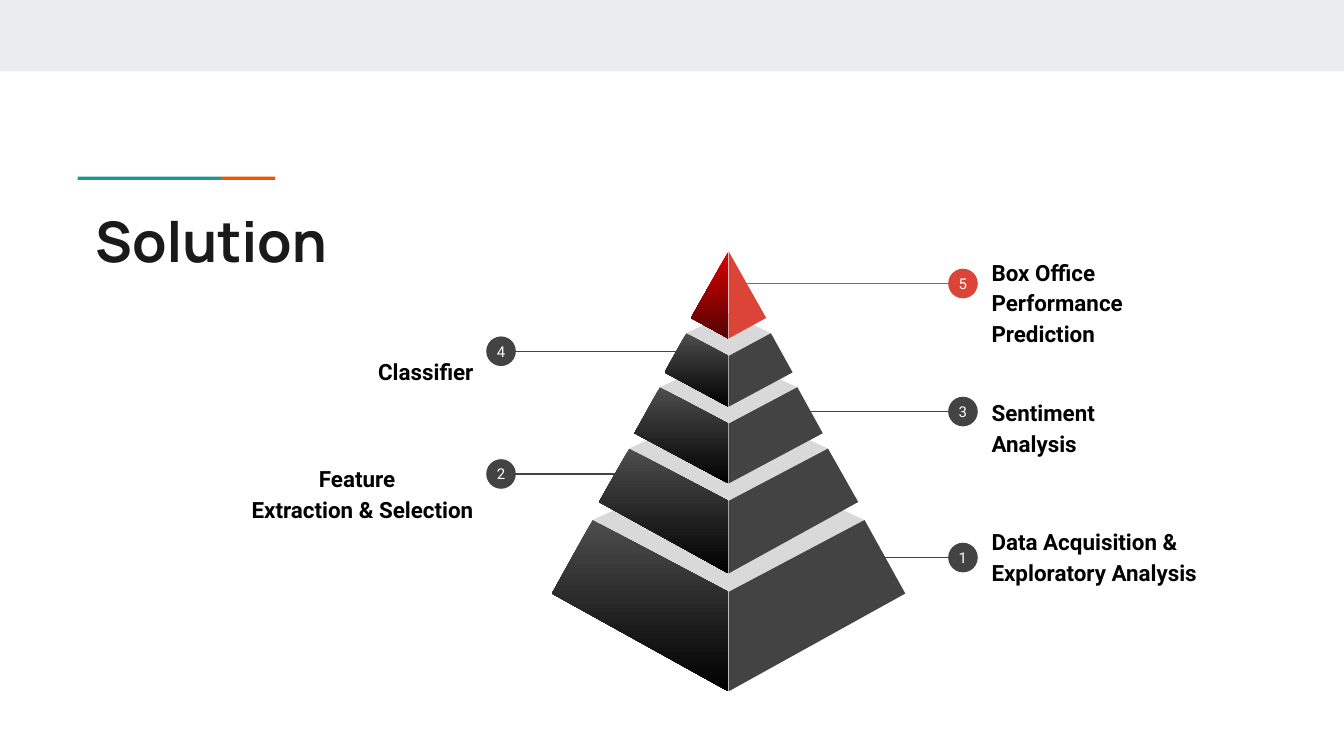
from pptx import Presentation
from pptx import util as u
from pptx.dml.color import RGBColor
from pptx.enum import shapes, text
from pptx.oxml.ns import qn
from lxml import etree

COLORS = {
    "band": "E9EDEE", "teal": "1A9988", "orange": "EB5600", "title": "1A1A1A",
    "lid": "D9D9D9", "dark": "434343", "dark_top": "4D4D4D", "black": "000000",
    "red": "DB4437", "red_top": "DB0000", "red_bottom": "540303", "white": "FFFFFF",
}


def paint(shape, *names):
    shape.shadow.inherit = False
    shape.line.fill.background()
    if len(names) == 1:
        shape.fill.solid()
        shape.fill.fore_color.rgb = RGBColor.from_string(COLORS[names[0]])
        return
    shape.fill.gradient()
    shape.fill.gradient_angle = 270
    for stop, name in zip(shape.fill.gradient_stops, names):
        stop.color.rgb = RGBColor.from_string(COLORS[name])


def style(paragraph, font, size, color, bold, align):
    paragraph.alignment = align
    for run in paragraph.runs:
        run.font.name = font
        run.font.size = u.Pt(size)
        run.font.bold = bold
        run.font.color.rgb = RGBColor.from_string(COLORS[color])


presentation = Presentation()
presentation.slide_width = u.Cm(25.4)
presentation.slide_height = u.Cm(14.29)
slide = presentation.slides.add_slide(presentation.slide_layouts[5])
LEFT, CENTER, RIGHT = text.PP_ALIGN.LEFT, text.PP_ALIGN.CENTER, text.PP_ALIGN.RIGHT

for left, top, width, height, color in [
    (0, 0, 25.4, 1.35, "band"),
    (1.47, 3.34, 2.71, 0.06, "teal"),
    (4.18, 3.34, 1.02, 0.06, "orange"),
]:
    bar = slide.shapes.add_shape(
        shapes.MSO_SHAPE.RECTANGLE, u.Cm(left), u.Cm(top), u.Cm(width), u.Cm(height))
    paint(bar, color)

title = slide.shapes.title
title.left, title.top, title.width, title.height = u.Cm(1.55), u.Cm(3.66), u.Cm(21.36), u.Cm(1.5)
frame = title.text_frame
frame.text = "Solution"
frame.auto_size = text.MSO_AUTO_SIZE.NONE
frame.vertical_anchor = text.MSO_ANCHOR.TOP
frame.margin_left = frame.margin_right = frame.margin_top = frame.margin_bottom = u.Cm(0.25)
style(frame.paragraphs[0], "Manrope", 30, "title", True, LEFT)

# half widths at top and bottom, then heights: lid back, shoulder, front edge, base corner, base front
AXIS = 13.77
TIERS = [
    (2.57, 3.34, 8.65, 9.83, 11.19, 11.22, 13.07),
    (1.88, 2.45, 7.62, 8.48, 9.47, 9.49, 10.84),
    (1.30, 1.78, 6.73, 7.32, 8.01, 8.19, 9.14),
    (0.80, 1.21, 5.92, 6.30, 6.73, 7.04, 7.69),
    (0, 0.71, 4.75, 4.75, 4.75, 6.01, 6.40),
]
for upper, lower, back, shoulder, front, corner, base in TIERS:
    is_tip = upper == 0
    left_fill = ("red_top", "red_bottom") if is_tip else ("dark_top", "black")
    faces = [
        ([(-upper, shoulder), (0, front), (0, base), (-lower, corner)], left_fill),
        ([(upper, shoulder), (0, front), (0, base), (lower, corner)],
         ("red",) if is_tip else ("dark",)),
    ]
    if not is_tip:
        faces.insert(0, ([(-upper, shoulder), (0, front), (upper, shoulder), (0, back)], ("lid",)))
    for corners, fill in faces:
        points = [(u.Cm(AXIS + x), u.Cm(y)) for x, y in corners]
        builder = slide.shapes.build_freeform(*points[0])
        builder.add_line_segments(points[1:], close=True)
        paint(builder.convert_to_shape(), *fill)

BADGE = 0.56
STEPS = [
    ("5", "Box Office Performance Prediction", RIGHT, 14.07, 5.36, 4.65, 3.33, 2.08),
    ("4", "Classifier", LEFT, 12.83, 6.64, 5.95, 5.92, 2.08),
    ("3", "Sentiment Analysis", RIGHT, 15.29, 7.78, 7.09, 2.97, 1.93),
    ("2", "Feature\nExtraction & Selection", LEFT, 11.66, 8.96, 8.27, 5.92, 2.08),
    ("1", "Data Acquisition & Exploratory Analysis", RIGHT, 16.69, 10.54, 9.53, 4.88, 1.93),
]
for number, label, side, start, middle, top, width, height in STEPS:
    color = "red" if number == "5" else "dark"
    badge_x = 18.2 if side == RIGHT else 9.47
    line = slide.shapes.add_connector(
        shapes.MSO_CONNECTOR.STRAIGHT, u.Cm(start), u.Cm(middle), u.Cm(badge_x), u.Cm(middle))
    line.line.width = u.Pt(0.75)
    line.line.color.rgb = RGBColor.from_string(COLORS[color])
    etree.SubElement(line._element.spPr, qn("a:effectLst"))

    badge = slide.shapes.add_shape(
        shapes.MSO_SHAPE.OVAL, u.Cm(badge_x - BADGE / 2), u.Cm(middle - BADGE / 2),
        u.Cm(BADGE), u.Cm(BADGE))
    paint(badge, color)
    frame = badge.text_frame
    frame.text = number
    frame.word_wrap = False
    frame.vertical_anchor = text.MSO_ANCHOR.MIDDLE
    frame.margin_left = frame.margin_right = frame.margin_top = frame.margin_bottom = 0
    style(frame.paragraphs[0], "Roboto", 8, "white", False, CENTER)

    left = 18.49 if side == RIGHT else 3.28
    box = slide.shapes.add_textbox(u.Cm(left), u.Cm(top), u.Cm(width), u.Cm(height))
    frame = box.text_frame
    frame.text = label
    frame.word_wrap = True
    frame.vertical_anchor = text.MSO_ANCHOR.MIDDLE
    frame.margin_left = frame.margin_right = frame.margin_top = frame.margin_bottom = u.Cm(0.25)
    for paragraph in frame.paragraphs:
        paragraph.line_spacing = 1.15
        style(paragraph, "Roboto", 12, "black", True, LEFT if side == RIGHT else RIGHT)
    if len(frame.paragraphs) > 1:
        frame.paragraphs[0].alignment = CENTER
        frame.paragraphs[0]._p.get_or_add_pPr().set("marL", str(u.Cm(1.02)))

presentation.save("out.pptx")
